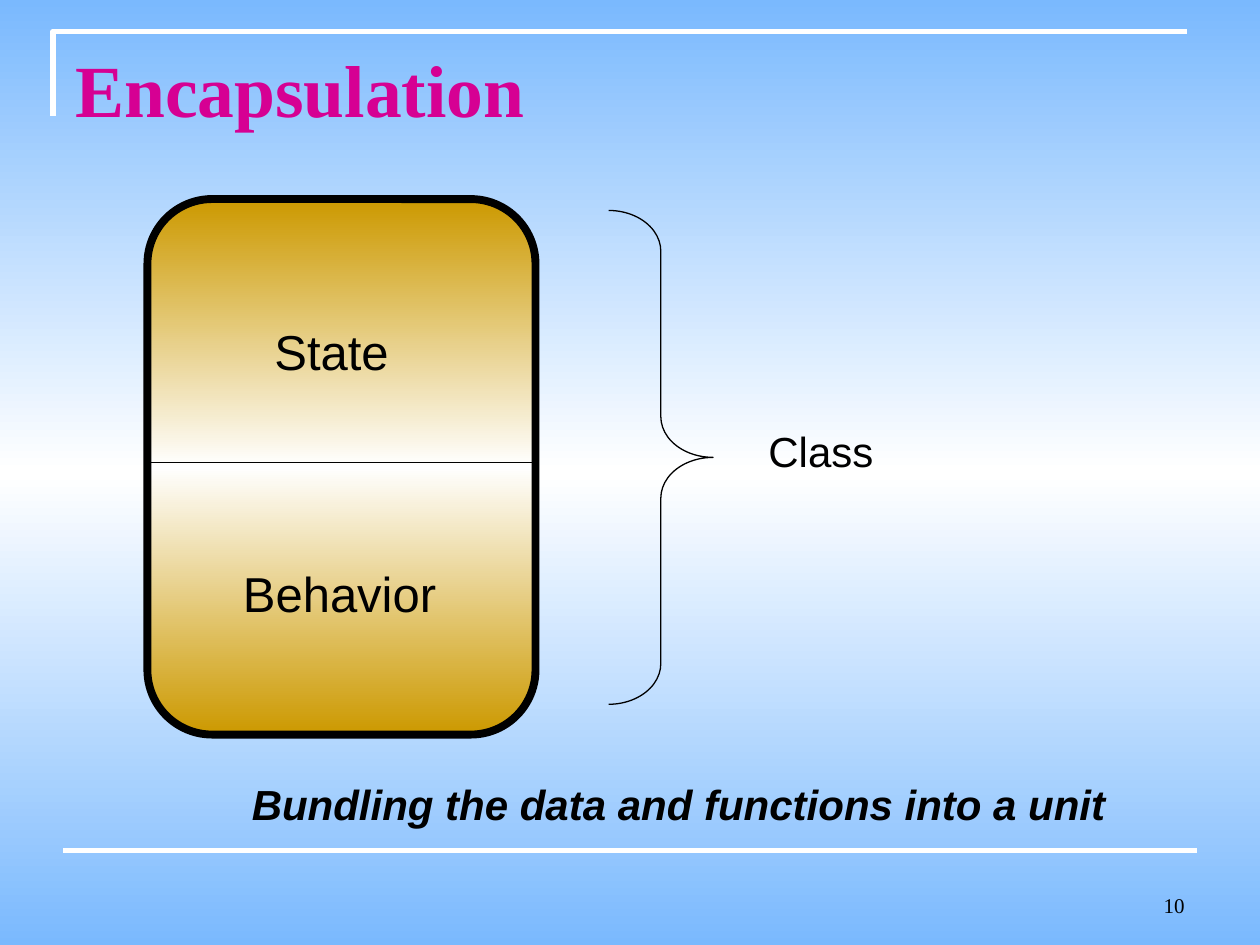
import copy

import pptx
import pptx.dml.color
import pptx.enum.shapes
import pptx.enum.text
import pptx.oxml
import pptx.util
from pptx.util import Inches

COLORS = {
    "sky": "7AB9FE",
    "white": "FFFFFF",
    "gold": "CC9900",
    "magenta": "D60093",
    "black": "000000",
}
SHAPES = pptx.enum.shapes.MSO_SHAPE
ANCHORS = pptx.enum.text.MSO_ANCHOR
ALIGNMENTS = pptx.enum.text.PP_ALIGN


def color(name):
    return pptx.dml.color.RGBColor.from_string(COLORS[name])


def set_mirrored_gradient(fill, element, edge, middle):
    fill.gradient()
    fill.gradient_angle = 90
    stop_list = element.xpath(".//a:gsLst")[0]
    stop_list.insert(1, copy.deepcopy(stop_list[0]))
    for stop, name, position in zip(fill.gradient_stops, (edge, middle, edge), (0, 0.5, 1)):
        stop.color.rgb = color(name)
        stop.position = position


def set_line(shape, name, width):
    shape.line.color.rgb = color(name)
    shape.line.width = pptx.util.Pt(width)


def add_rule(slide, left, top, width, name, weight):
    rule = slide.shapes.add_connector(
        pptx.enum.shapes.MSO_CONNECTOR.STRAIGHT,
        Inches(left), Inches(top), Inches(left + width), Inches(top),
    )
    set_line(rule, name, weight)
    rule._element.spPr.append(pptx.oxml.parse_xml(
        '<a:effectLst xmlns:a="http://schemas.openxmlformats.org/drawingml/2006/main"/>'
    ))


def add_text(slide, box, text, size, font="Arial", name="black", bold=False, italic=False,
             align=ALIGNMENTS.LEFT, anchor=ANCHORS.TOP):
    text_box = slide.shapes.add_textbox(*map(Inches, box))
    frame = text_box.text_frame
    frame.word_wrap = True
    frame.vertical_anchor = anchor
    frame.text = text
    paragraph = frame.paragraphs[0]
    paragraph.alignment = align
    run_font = paragraph.runs[0].font
    run_font.name = font
    run_font.size = pptx.util.Pt(size)
    run_font.bold = bold
    run_font.italic = italic
    run_font.color.rgb = color(name)


def add_frame(slide, left, top, width):
    corner = slide.shapes.build_freeform(Inches(left), Inches(top + 0.67))
    corner.add_line_segments(
        [(Inches(left), Inches(top)), (Inches(left + width), Inches(top))], close=False
    )
    bracket = corner.convert_to_shape()
    bracket.shadow.inherit = False
    bracket.fill.background()
    set_line(bracket, "white", 3)
    add_rule(slide, left + 0.08, top + 6.5, width, "white", 3)
    add_text(slide, (left + 6.75, top + 6.58, 2.33, 0.5), "10", 12, "Times New Roman",
             align=ALIGNMENTS.RIGHT, anchor=ANCHORS.BOTTOM)


def add_class_box(slide, left, top, width, height):
    box = slide.shapes.add_shape(
        SHAPES.ROUNDED_RECTANGLE, *map(Inches, (left, top, width, height))
    )
    box.shadow.inherit = False
    set_mirrored_gradient(box.fill, box._element, "gold", "white")
    set_line(box, "black", 4.5)
    add_rule(slide, left, top + 2.09, width, "black", 0.75)
    add_text(slide, (left + 0.66, top + 2.84, 2.17, 0.57), "Behavior", 28)
    add_text(slide, (left + 0.91, top + 0.92, 1.25, 0.57), "State", 28)


def add_class_brace(slide, left, top, width, height):
    brace = slide.shapes.add_shape(
        SHAPES.RIGHT_BRACE, *map(Inches, (left, top, width, height))
    )
    brace.shadow.inherit = False
    brace.adjustments[0] = 0.39
    brace.fill.background()
    set_line(brace, "black", 0.75)
    add_text(slide, (left + 1.17, top + 1.66, 1.58, 0.5), "Class", 24)


def build_encapsulation(presentation):
    slide = presentation.slides.add_slide(presentation.slide_layouts[6])
    set_mirrored_gradient(slide.background.fill, slide._element, "sky", "white")
    add_frame(slide, 0.42, 0.25, 9)
    add_text(slide, (0.5, 0.3, 9, 1.25), "Encapsulation", 42, "Times New Roman",
             "magenta", bold=True)
    add_class_box(slide, 1.17, 1.58, 3.08, 4.25)
    add_class_brace(slide, 4.83, 1.67, 0.83, 3.92)
    add_text(slide, (1.9, 6.13, 7.1, 0.5), "Bundling the data and functions into a unit", 24,
             bold=True, italic=True)


def main():
    presentation = pptx.Presentation()
    presentation.slide_width = Inches(10)
    presentation.slide_height = Inches(7.5)
    build_encapsulation(presentation)
    presentation.save("out.pptx")


if __name__ == "__main__":
    main()
